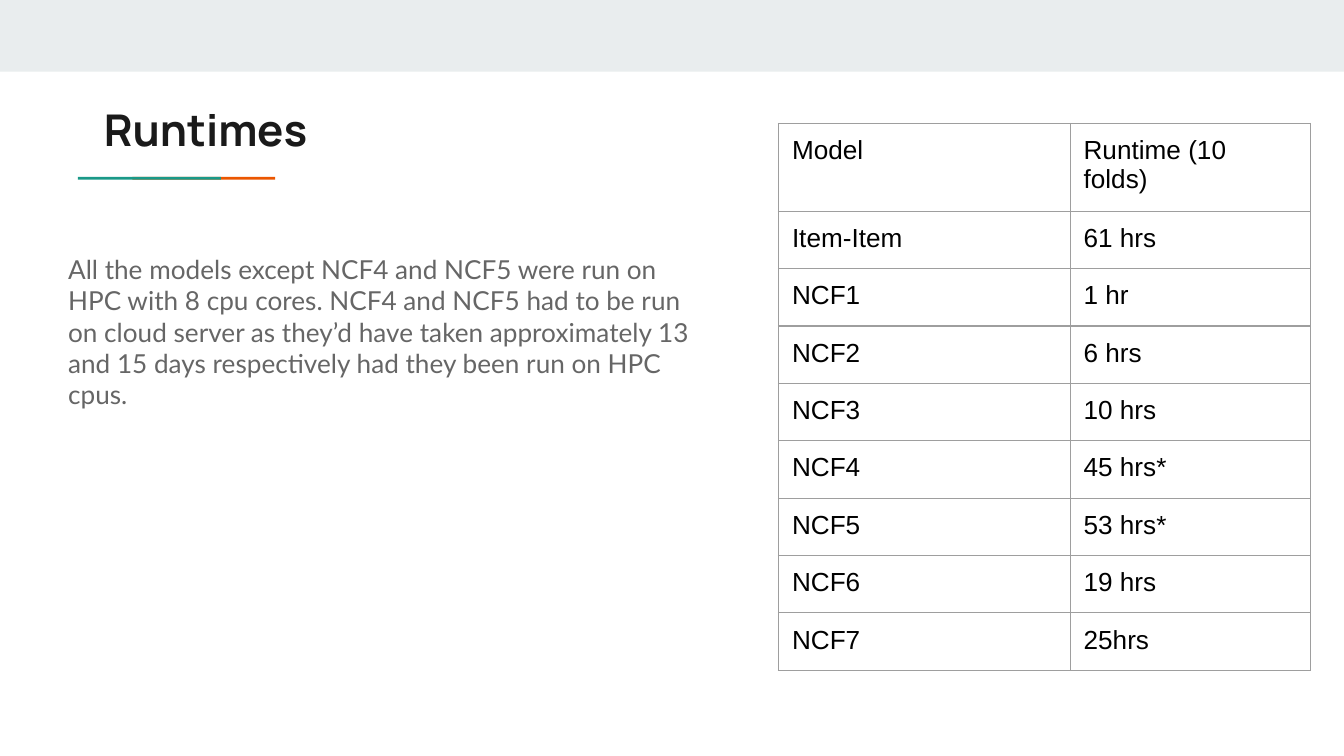
from dataclasses import dataclass

from lxml.etree import SubElement
from pptx import Presentation
from pptx.dml.color import RGBColor
from pptx.enum.shapes import MSO_SHAPE
from pptx.enum.text import MSO_ANCHOR
from pptx.oxml.ns import qn
from pptx.util import Pt

COLORS = {
    "band": "E9EDEE",
    "teal": "1A9988",
    "orange": "EB5600",
    "title": "1A1A1A",
    "body": "666666",
    "cell": "000000",
    "border": "9E9E9E",
}
INSET = Pt(7.2)
BORDER_WIDTH = Pt(0.75)
COLUMN_WIDTHS = (156.24, 128.88)
HEADER_HEIGHT, ROW_HEIGHT = 31, 26  # least heights, rows grow with their text
RUNTIMES = (
    ("Model", "Runtime (10 folds)"),
    ("Item-Item", "61 hrs"),
    ("NCF1", "1 hr"),
    ("NCF2", "6 hrs"),
    ("NCF3", "10 hrs"),
    ("NCF4", "45 hrs*"),
    ("NCF5", "53 hrs*"),
    ("NCF6", "19 hrs"),
    ("NCF7", "25hrs"),
)


@dataclass(frozen=True)
class Bar:
    left: float
    top: float
    width: float
    height: float
    color: str


@dataclass(frozen=True)
class Style:
    font: str
    size: float
    color: str
    bold: bool = False
    line_spacing: float = 1.0


@dataclass(frozen=True)
class TextBlock:
    left: float
    top: float
    width: float
    height: float
    text: str
    style: Style
    anchor: MSO_ANCHOR = MSO_ANCHOR.TOP


CELL_STYLE = Style("Arial", 14, "cell", line_spacing=0.97)
BARS = (
    Bar(0, 0, 720, 38.4, "band"),
    Bar(70.9, 94.7, 76.6, 1.5, "orange"),
    Bar(41.8, 94.7, 76.6, 1.5, "teal"),
)
TEXT_BLOCKS = (
    TextBlock(48.5, 47.8, 605.5, 42.5, "Runtimes",
              Style("Manrope", 23.4, "title", True), MSO_ANCHOR.MIDDLE),
    TextBlock(29.4, 128.5, 360.7, 98.4,
              "All the models except NCF4 and NCF5 were run on HPC with 8 cpu "
              "cores. NCF4 and NCF5 had to be run on cloud server as they’d have "
              "taken approximately 13 and 15 days respectively had they been run "
              "on HPC cpus.",
              Style("Lato", 14, "body")),
)


def rgb(name: str) -> RGBColor:
    return RGBColor.from_string(COLORS[name])


def add_bar(page, bar: Bar) -> None:
    shape = page.shapes.add_shape(MSO_SHAPE.RECTANGLE, Pt(bar.left), Pt(bar.top),
                                  Pt(bar.width), Pt(bar.height))
    shape.shadow.inherit = False
    shape.fill.solid()
    shape.fill.fore_color.rgb = rgb(bar.color)
    shape.line.fill.background()


def write_text(frame, text: str, style: Style) -> None:
    para = frame.paragraphs[0]
    para.line_spacing = style.line_spacing
    span = para.add_run()
    span.text = text
    span.font.name = style.font
    span.font.size = Pt(style.size)
    span.font.bold = style.bold
    span.font.color.rgb = rgb(style.color)


def set_insets(holder) -> None:
    """Give a text frame or a table cell the same inset on all sides."""
    holder.margin_left = holder.margin_right = INSET
    holder.margin_top = holder.margin_bottom = INSET


def add_text(page, block: TextBlock) -> None:
    box = page.shapes.add_textbox(Pt(block.left), Pt(block.top),
                                  Pt(block.width), Pt(block.height))
    frame = box.text_frame
    frame.word_wrap = True
    frame.vertical_anchor = block.anchor
    set_insets(frame)
    write_text(frame, block.text, block.style)


def add_borders(cell) -> None:
    properties = cell._tc.get_or_add_tcPr()
    for index, side in enumerate(("lnL", "lnR", "lnT", "lnB")):
        line = SubElement(properties, qn(f"a:{side}"), w=str(BORDER_WIDTH))
        fill = SubElement(line, qn("a:solidFill"))
        SubElement(fill, qn("a:srgbClr"), val=COLORS["border"])
        properties.insert(index, line)  # borders must come before the fill


def add_runtime_table(page, left: float, top: float) -> None:
    height = HEADER_HEIGHT + ROW_HEIGHT * (len(RUNTIMES) - 1)
    table = page.shapes.add_table(len(RUNTIMES), len(COLUMN_WIDTHS), Pt(left), Pt(top),
                                  Pt(sum(COLUMN_WIDTHS)), Pt(height)).table
    table.first_row = table.horz_banding = False
    for column, width in zip(table.columns, COLUMN_WIDTHS):
        column.width = Pt(width)
    for index, (row, values) in enumerate(zip(table.rows, RUNTIMES)):
        row.height = Pt(ROW_HEIGHT if index else HEADER_HEIGHT)
        for cell, value in zip(row.cells, values):
            set_insets(cell)
            cell.fill.background()
            write_text(cell.text_frame, value, CELL_STYLE)
            add_borders(cell)


def main() -> None:
    deck = Presentation()
    deck.slide_width, deck.slide_height = Pt(720), Pt(405)
    page = deck.slides.add_slide(deck.slide_layouts[6])
    for bar in BARS:
        add_bar(page, bar)
    for block in TEXT_BLOCKS:
        add_text(page, block)
    add_runtime_table(page, 417.1, 66.2)
    deck.save("out.pptx")


if __name__ == "__main__":
    main()
